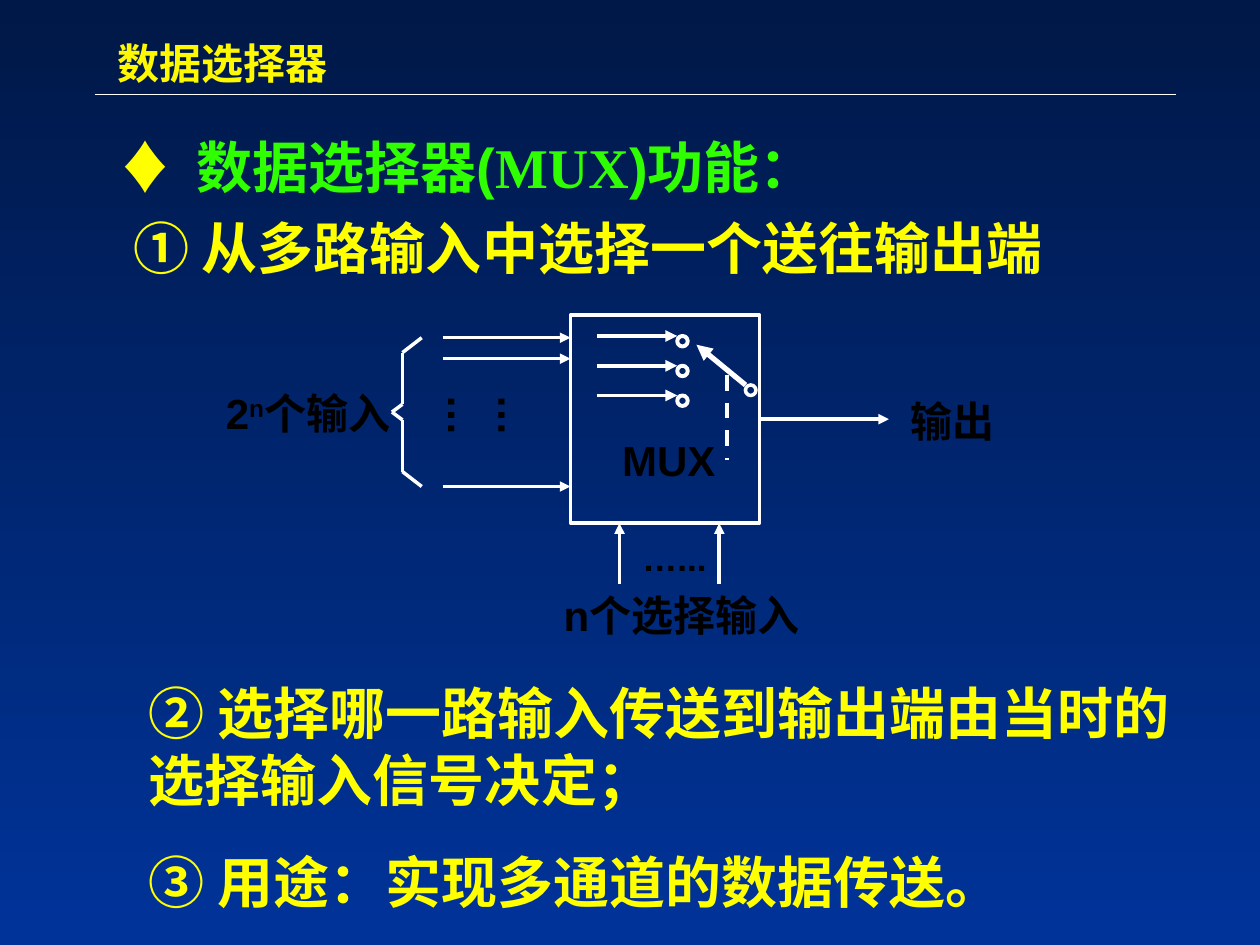
from dataclasses import dataclass
from itertools import pairwise

from lxml import etree
from pptx import Presentation
from pptx.dml.color import RGBColor
from pptx.enum.dml import MSO_LINE
from pptx.enum.shapes import MSO_CONNECTOR, MSO_SHAPE
from pptx.enum.text import MSO_ANCHOR, MSO_AUTO_SIZE, PP_ALIGN
from pptx.oxml.ns import qn
from pptx.util import Pt

STRAIGHT = MSO_CONNECTOR.STRAIGHT
RECTANGLE, OVAL = MSO_SHAPE.RECTANGLE, MSO_SHAPE.OVAL
TOP, BOTTOM = MSO_ANCHOR.TOP, MSO_ANCHOR.BOTTOM
LEFT = PP_ALIGN.LEFT
DASH = MSO_LINE.DASH
NO_AUTOFIT = MSO_AUTO_SIZE.NONE
RIGHT_SIDE = 3
TITLE_ONLY = 5


@dataclass(frozen=True)
class Theme:
    sky: RGBColor = RGBColor(0x00, 0x18, 0x47)
    ground: RGBColor = RGBColor(0x00, 0x33, 0x99)
    title: RGBColor = RGBColor(0xFE, 0xF8, 0x02)
    body: RGBColor = RGBColor(0xFF, 0xFF, 0x00)
    heading: RGBColor = RGBColor(0x2F, 0xFF, 0x00)
    line: RGBColor = RGBColor(0xFF, 0xFF, 0xFF)
    label: RGBColor = RGBColor(0x00, 0x00, 0x00)
    font: str = "Arial"
    serif: str = "Times New Roman"
    body_size: int = 32
    label_size: int = 24
    dots_size: int = 20
    thin: float = 0.75
    wire: float = 2
    contact: float = 2.25
    arm: float = 3


THEME = Theme()


def add_run(paragraph, text, size, color, font=THEME.font):
    run = paragraph.add_run()
    run.text = text
    run.font.size, run.font.bold, run.font.name = Pt(size), True, font
    run.font.color.rgb = color
    return run


def add_text_box(shapes, left, top, width, height):
    frame = shapes.add_textbox(Pt(left), Pt(top), Pt(width), Pt(height)).text_frame
    frame.word_wrap = True
    return frame


def add_line(shapes, start, end, weight=THEME.wire, arrow=False):
    line = shapes.add_connector(STRAIGHT, *(Pt(v) for v in (*start, *end)))
    line.line.color.rgb, line.line.width = THEME.line, Pt(weight)
    if arrow:
        etree.SubElement(line.line._get_or_add_ln(), qn("a:tailEnd"), type="triangle")
    etree.SubElement(line._element.spPr, qn("a:effectLst"))
    return line


def add_outline(shapes, preset, left, top, width, height, weight=THEME.wire):
    shape = shapes.add_shape(preset, Pt(left), Pt(top), Pt(width), Pt(height))
    shape.shadow.inherit = False
    shape.fill.background()
    shape.line.color.rgb, shape.line.width = THEME.line, Pt(weight)
    return shape


def paint_background(slide):
    fill = slide.background.fill
    fill.gradient()
    fill.gradient_angle = 270
    for stop, color, position in zip(fill.gradient_stops, (THEME.sky, THEME.ground), (0, 1)):
        stop.color.rgb, stop.position = color, position


def add_title(slide, left, top, width, height):
    title = slide.shapes.title
    title.left, title.top, title.width, title.height = map(Pt, (left, top, width, height))
    frame = title.text_frame
    frame.auto_size, frame.vertical_anchor = NO_AUTOFIT, TOP
    frame.paragraphs[0].alignment = LEFT
    add_run(frame.paragraphs[0], "数据选择器", THEME.label_size, THEME.title)
    add_line(slide.shapes, (left - 6, 54), (left + 612, 54), THEME.thin)


def add_function_heading(slide, left, top, width, height):
    frame = add_text_box(slide.shapes, left, top, width, height)
    heading = frame.paragraphs[0]
    tabs = etree.SubElement(heading._p.get_or_add_pPr(), qn("a:tabLst"))
    etree.SubElement(tabs, qn("a:tab"), pos=str(Pt(45)), algn="l")
    for text, color, font in (
        ("♦\t", THEME.body, THEME.font),
        ("数据选择器(", THEME.heading, THEME.font),
        ("MUX", THEME.heading, THEME.serif),
        (")功能：", THEME.heading, THEME.font),
    ):
        add_run(heading, text, THEME.body_size, color, font)
    first_point = frame.add_paragraph()
    first_point.space_before = Pt(8)
    first_point._p.get_or_add_pPr().set("marL", str(Pt(9)))
    add_run(first_point, "① 从多路输入中选择一个送往输出端", THEME.body_size, THEME.body)


def add_points(slide, left, top, width, height):
    frame = add_text_box(slide.shapes, left, top, width, height)
    add_run(frame.paragraphs[0], "② 选择哪一路输入传送到输出端由当时的 选择输入信号决定；",
            THEME.body_size, THEME.body)
    usage = frame.add_paragraph()
    usage.space_before = Pt(20)
    add_run(usage, "③ 用途：实现多通道的数据传送。", THEME.body_size, THEME.body)


def add_switch(shapes, left, top):
    # Three contacts, each fed by an arrow
    for row in range(3):
        y = top + 17 * row
        add_line(shapes, (left, y), (left + 46, y), THEME.contact, arrow=True)
        add_outline(shapes, OVAL, left + 46, y, 6, 6, THEME.contact)
    # Moving arm and its control line
    add_outline(shapes, OVAL, left + 85, top + 28, 6, 6)
    add_line(shapes, (left + 85, top + 28), (left + 57, top + 5), THEME.arm, arrow=True)
    control = add_line(shapes, (left + 74.5, top + 22.5), (left + 74.5, top + 71), THEME.contact)
    control.line.dash_style = DASH


def add_mux_diagram(slide, left, top):
    shapes = slide.shapes.add_group_shape().shapes

    def at(x, y):
        return left + x, top + y

    def add_label(x, y, width, height, text, size=THEME.label_size):
        frame = add_text_box(shapes, *at(x, y), width, height)
        add_run(frame.paragraphs[0], text, size, THEME.label)
        return frame

    # Multiplexer block
    mux = add_outline(shapes, RECTANGLE, *at(204, 0), 108, 119)
    frame = mux.text_frame
    frame.vertical_anchor = BOTTOM
    frame.margin_left, frame.margin_bottom = Pt(29.5), Pt(22)
    frame.paragraphs[0].alignment = LEFT
    add_run(frame.paragraphs[0], "MUX", THEME.label_size, THEME.label)
    add_switch(shapes, *at(219, 12))

    # Data inputs, select inputs and output
    for y in (13, 25, 98):
        add_line(shapes, at(131, y), at(204, y), arrow=True)
    for x in (232, 289):
        add_line(shapes, at(x, 153.5), at(x, 119), arrow=True)
    output = add_line(shapes, at(312, 59.5), at(386, 59.5), arrow=True)
    output.begin_connect(mux, RIGHT_SIDE)

    # Brace around the data inputs
    brace = [(119, 13), (108, 21.5), (108, 51), (102, 55.5), (108, 60), (108, 89.5), (119, 98)]
    for start, end in pairwise(brace):
        add_line(shapes, at(*start), at(*end))

    # Labels
    inputs = add_label(0, 38, 119, 36, "2").paragraphs[0]
    exponent = add_run(inputs, "n", THEME.label_size, THEME.label)
    exponent._r.get_or_add_rPr().set("baseline", "30000")
    add_run(inputs, "个输入", THEME.label_size, THEME.label)
    add_label(193, 153.5, 170, 36, "n个选择输入")
    add_label(391, 42.5, 119, 36, "输出")
    add_label(238, 123, 57, 32, "…...", THEME.dots_size)
    more_inputs = add_label(118.5, 38, 72, 55.5, "……")
    more_inputs._txBody.bodyPr.set("vert", "eaVert")
    more_inputs.margin_left = more_inputs.margin_right = Pt(3.6)
    more_inputs.margin_top = more_inputs.margin_bottom = Pt(7.2)


def main():
    deck = Presentation()
    deck.slide_width, deck.slide_height = Pt(720), Pt(540)
    slide = deck.slides.add_slide(deck.slide_layouts[TITLE_ONLY])
    paint_background(slide)
    add_title(slide, 60, 18, 276, 63)
    add_function_heading(slide, 60, 72, 595, 96)
    add_points(slide, 78, 384, 615, 142)
    add_mux_diagram(slide, 122, 180)
    deck.save("out.pptx")


if __name__ == "__main__":
    main()
